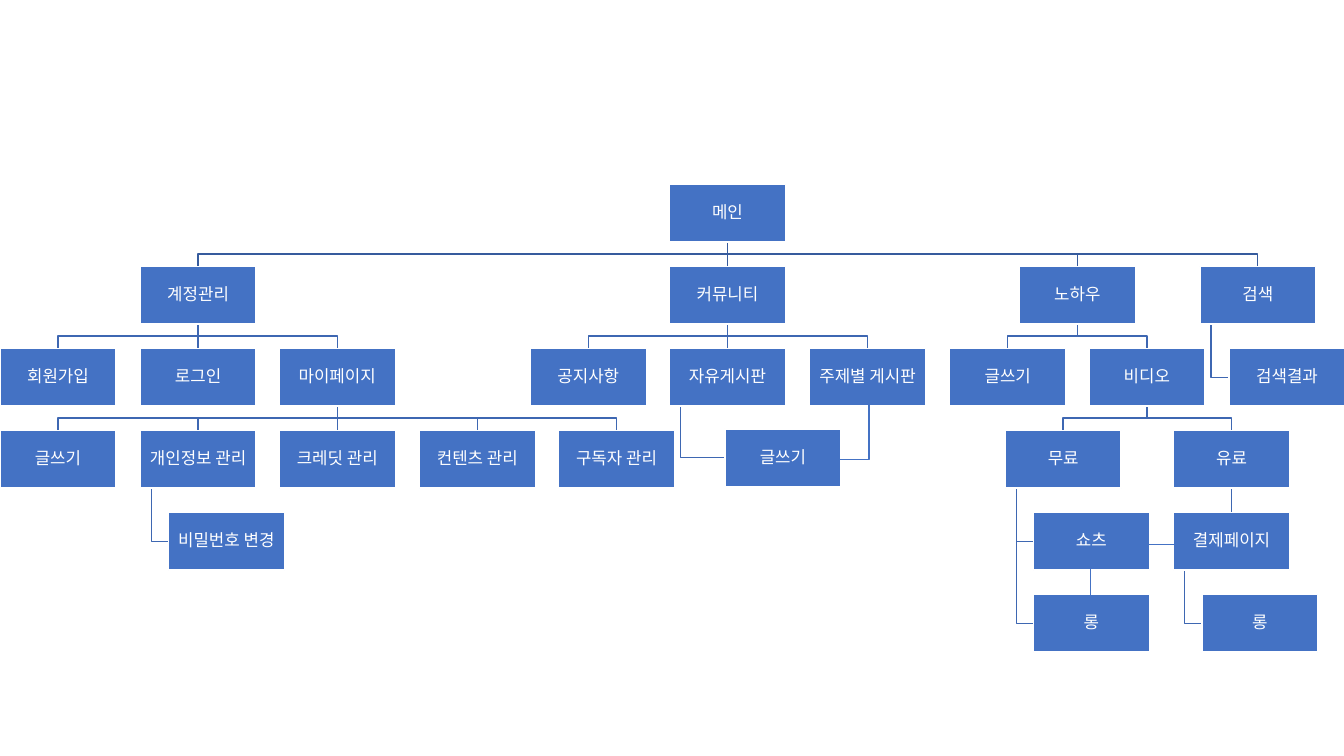
import pptx
import pptx.util
import pptx.dml.color
import pptx.enum.shapes
import pptx.enum.text
import lxml.etree

Inches, Pt = pptx.util.Inches, pptx.util.Pt
RGB = pptx.dml.color.RGBColor.from_string
KIND = pptx.enum.shapes.MSO_CONNECTOR
COLORS = {"box": "4472C4", "text": "FFFFFF", "top": "365B9D", "wire": "3E67B2"}
FONT = "Noto Sans CJK KR"
WIDE, HIGH = 1.15, 0.57
TOP, STEP = 1.83, 0.814

deck = pptx.Presentation()
deck.slide_width, deck.slide_height = Inches(13.33), Inches(7.5)
slide = deck.slides.add_slide(deck.slide_layouts[6])
shapes = slide.shapes


def link(kind, start, end, color, width):
    line = shapes.add_connector(kind, *[Inches(v) for v in start + end])
    line.line.color.rgb = RGB(COLORS[color])
    line.line.width = Pt(width)
    lxml.etree.SubElement(line._element.spPr, pptx.oxml.ns.qn("a:effectLst"))


def wire(points, color):
    spots = [(Inches(x), Inches(y)) for x, y in points]
    form = shapes.build_freeform(*spots[0])
    form.add_line_segments(spots[1:], close=False)
    path = form.convert_to_shape()
    path.shadow.inherit = False
    path.fill.background()
    path.line.color.rgb = RGB(COLORS[color])
    path.line.width = Pt(1)


# Pages: key, label, left, row, parent, branch style
pages = [
    ("main", "메인", 6.64, 0, None, None),
    ("account", "계정관리", 1.39, 1, "main", "drop"),
    ("join", "회원가입", 0, 2, "account", "drop"),
    ("login", "로그인", 1.39, 2, "account", "drop"),
    ("mypage", "마이페이지", 2.77, 2, "account", "drop"),
    ("write", "글쓰기", 0, 3, "mypage", "drop"),
    ("profile", "개인정보 관리", 1.39, 3, "mypage", "drop"),
    ("password", "비밀번호 변경", 1.67, 4, "profile", "hang"),
    ("credit", "크레딧 관리", 2.77, 3, "mypage", "drop"),
    ("content", "컨텐츠 관리", 4.16, 3, "mypage", "drop"),
    ("readers", "구독자 관리", 5.54, 3, "mypage", "drop"),
    ("forum", "커뮤니티", 6.64, 1, "main", "drop"),
    ("notice", "공지사항", 5.26, 2, "forum", "drop"),
    ("free", "자유게시판", 6.64, 2, "forum", "drop"),
    ("post", "글쓰기", 7.19, 2.98, "free", "hang"),
    ("topic", "주제별 게시판", 8.03, 2, "forum", "drop"),
    ("knowhow", "노하우", 10.11, 1, "main", "drop"),
    ("article", "글쓰기", 9.42, 2, "knowhow", "drop"),
    ("video", "비디오", 10.8, 2, "knowhow", "drop"),
    ("gratis", "무료", 9.97, 3, "video", "drop"),
    ("shorts", "쇼츠", 10.25, 4, "gratis", "hang"),
    ("long", "롱", 10.25, 5, "gratis", "hang"),
    ("paid", "유료", 11.64, 3, "video", "drop"),
    ("payment", "결제페이지", 11.64, 4, "paid", "drop"),
    ("paidlong", "롱", 11.92, 5, "payment", "hang"),
    ("search", "검색", 11.9, 1, "main", "drop"),
    ("results", "검색결과", 12.19, 2, "search", "hang"),
]
spot = {key: (left, TOP + STEP * row) for key, _, left, row, _, _ in pages}

# Tree branches, behind the boxes
for key, _, left, row, parent, style in pages:
    if not parent:
        continue
    x, y = spot[key]
    px, py = spot[parent]
    base = py + HIGH
    color = "top" if parent == "main" else "wire"
    if style == "hang":
        stem, mid = px + 0.11, y + HIGH / 2
        wire([(stem, base), (stem, mid), (x, mid)], color)
    elif x == px:
        link(KIND.STRAIGHT, (x + WIDE / 2, base), (x + WIDE / 2, y), color, 1)
    else:
        stem, end, mid = px + WIDE / 2, x + WIDE / 2, base + 0.12
        wire([(stem, base), (stem, mid), (end, mid), (end, y)], color)

# Page boxes
for key, label, *_ in pages:
    x, y = spot[key]
    box = shapes.add_shape(pptx.enum.shapes.MSO_SHAPE.RECTANGLE,
                           Inches(x), Inches(y), Inches(WIDE), Inches(HIGH))
    box.shadow.inherit = False
    box.fill.solid()
    box.fill.fore_color.rgb = RGB(COLORS["box"])
    box.line.color.rgb = RGB(COLORS["text"])
    box.line.width = Pt(1)
    frame = box.text_frame
    frame.word_wrap = True
    frame.vertical_anchor = pptx.enum.text.MSO_ANCHOR.MIDDLE
    frame.margin_left = frame.margin_right = Inches(0.01)
    frame.margin_top = frame.margin_bottom = Inches(0.01)
    para = frame.paragraphs[0]
    para.alignment = pptx.enum.text.PP_ALIGN.CENTER
    para.line_spacing = 0.9
    run = para.add_run()
    run.text = label
    run.font.size = Pt(12)
    run.font.name = FONT
    run.font.color.rgb = RGB(COLORS["text"])
    face = lxml.etree.SubElement(run.font._element, pptx.oxml.ns.qn("a:ea"))
    face.set("typeface", FONT)

# Extra links between pages
link(KIND.STRAIGHT, (11.37, 5.4), (11.65, 5.4), "box", 0.5)
link(KIND.STRAIGHT, (10.81, 5.64), (10.81, 5.91), "box", 0.5)
link(KIND.ELBOW, (9.13, 3.93), (8.11, 4.56), "box", 1)

deck.save("out.pptx")
